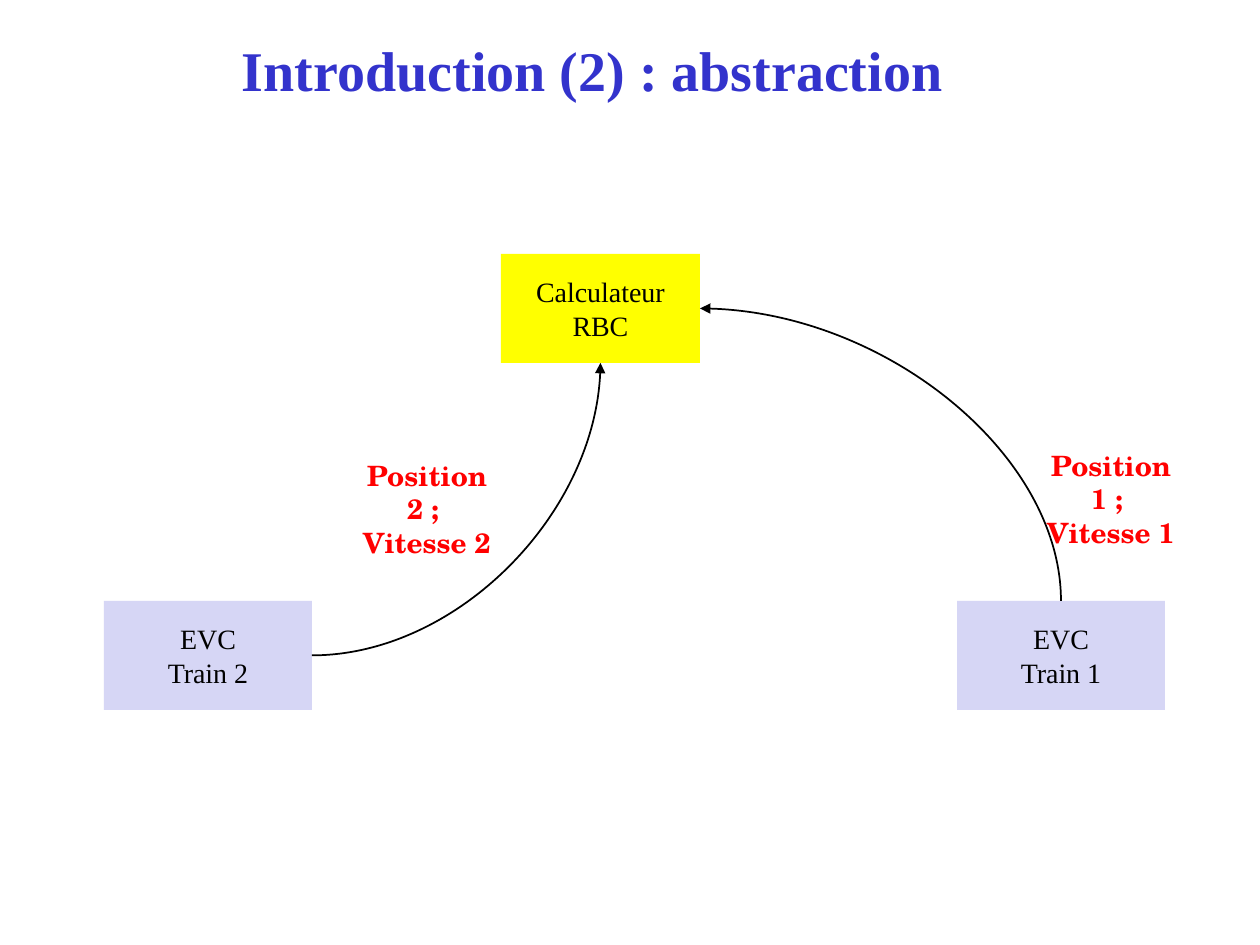
import pptx
import pptx.dml.color
import pptx.enum.shapes
import pptx.enum.text
import pptx.oxml.ns
import pptx.util
from lxml import etree

PX = 914400 // 126
THEME = {
    "title": {"name": "Times New Roman", "size": 32, "color": "3333CC", "bold": True},
    "node": {"name": "Times New Roman", "size": 16, "color": "000000", "bold": False},
    "message": {"name": "TeX Gyre Schola", "size": 16, "color": "FF0000", "bold": True},
    "computer": "FFFF00",
    "train": "D6D6F5",
    "arrow": "000000",
}

TITLE = (["Introduction (2) : abstraction"], (120, 27, 945, 84))
NODES = {
    "rbc": (["Calculateur", "RBC"], (501, 254, 199, 109), "computer"),
    "train 2": (["EVC", "Train 2"], (104, 601, 208, 109), "train"),
    "train 1": (["EVC", "Train 1"], (957, 601, 208, 109), "train"),
}
MESSAGES = [
    (["Position 1 ; ", "Vitesse 1"], (1027, 442, 168, 113)),
    (["Position 2 ; ", "Vitesse 2"], (343, 452, 168, 113)),
]
ARROWS = [("train 1", "top", "rbc", "right"), ("train 2", "right", "rbc", "bottom")]
SIDES = {"top": (0.5, 0), "right": (1, 0.5), "bottom": (0.5, 1)}


def color(value):
    return pptx.dml.color.RGBColor.from_string(value)


def emu(*lengths):
    return [round(length * PX) for length in lengths]


def write(frame, lines, style, anchor, wrap=True):
    frame.word_wrap = wrap
    frame.vertical_anchor = anchor
    look = THEME[style]
    for index, line in enumerate(lines):
        paragraph = frame.paragraphs[0] if index == 0 else frame.add_paragraph()
        paragraph.alignment = pptx.enum.text.PP_ALIGN.CENTER
        run = paragraph.add_run()
        run.text = line
        formats = {"name": look["name"], "size": pptx.util.Pt(look["size"]), "bold": look["bold"]}
        for attribute, value in formats.items():
            setattr(run.font, attribute, value)
        run.font.color.rgb = color(look["color"])


def side_point(node, side):
    left, top, width, height = NODES[node][1]
    across, down = SIDES[side]
    return left + width * across, top + height * down


def add_arrow(slide, source, source_side, target, target_side):
    x1, y1 = side_point(source, source_side)
    x2, y2 = side_point(target, target_side)
    leaves_upward = source_side == "top"
    if leaves_upward:
        center_x, center_y = (x1 + x2) / 2, (y1 + y2) / 2
        half_width, half_height = abs(y2 - y1) / 2, abs(x2 - x1) / 2
        x1, y1 = center_x - half_width, center_y + half_height
        x2, y2 = center_x + half_width, center_y - half_height
    arrow = slide.shapes.add_connector(
        pptx.enum.shapes.MSO_CONNECTOR.CURVE, *emu(x1, y1, x2, y2))
    arrow.line.color.rgb = color(THEME["arrow"])
    arrow.line.width = pptx.util.Pt(1)
    qn = pptx.oxml.ns.qn
    properties = arrow._element.spPr
    properties.find(qn("a:prstGeom")).set("prst", "curvedConnector2")
    if leaves_upward:
        properties.find(qn("a:xfrm")).set("rot", "16200000")
    etree.SubElement(properties.find(qn("a:ln")), qn("a:tailEnd"), type="triangle")
    etree.SubElement(properties, qn("a:effectLst"))


def main():
    deck = pptx.Presentation()
    deck.slide_width, deck.slide_height = emu(1260, 945)
    slide = deck.slides.add_slide(deck.slide_layouts[6])
    anchors = pptx.enum.text.MSO_ANCHOR

    lines, box = TITLE
    title = slide.shapes.add_textbox(*emu(*box))
    write(title.text_frame, lines, "title", anchors.MIDDLE)

    for lines, box, fill in NODES.values():
        node = slide.shapes.add_shape(pptx.enum.shapes.MSO_SHAPE.RECTANGLE, *emu(*box))
        node.shadow.inherit = False
        node.fill.solid()
        node.fill.fore_color.rgb = color(THEME[fill])
        node.line.fill.background()
        write(node.text_frame, lines, "node", anchors.MIDDLE, wrap=False)

    for ends in ARROWS:
        add_arrow(slide, *ends)

    for lines, box in MESSAGES:
        message = slide.shapes.add_textbox(*emu(*box))
        write(message.text_frame, lines, "message", anchors.TOP)

    deck.save("out.pptx")


if __name__ == "__main__":
    main()
